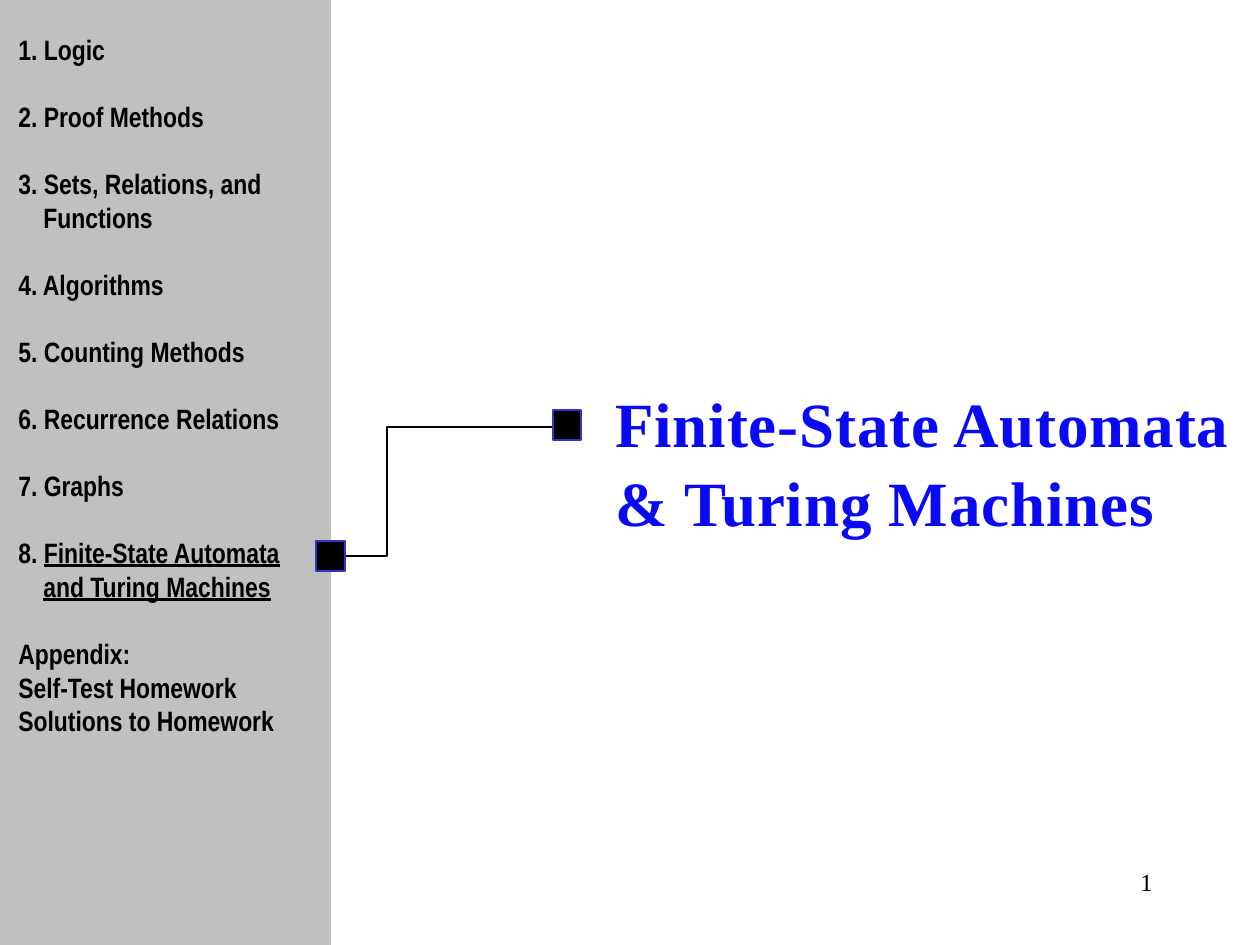
from pptx import Presentation
from pptx import util as u
from pptx.dml.color import RGBColor
from pptx.enum import shapes, text

PX = 914400 // 126
COLORS = {
    "black": "000000",
    "white": "FFFFFF",
    "sidebar": "C0C0C0",
    "title": "0909F6",
    "marker_line": "3333CC",
}
NUMBER_INDENT = 25
CONTENTS = [
    [[("1. Logic", False)]],
    [[("2. Proof Methods", False)]],
    [[("3. Sets, Relations, and", False)], [("Functions", False)]],
    [[("4. Algorithms", False)]],
    [[("5. Counting Methods", False)]],
    [[("6. Recurrence Relations", False)]],
    [[("7. Graphs", False)]],
    [[("8. ", False), ("Finite-State Automata", True)],
     [("and Turing Machines", True)]],
]
APPENDIX = ["Appendix:", "Self-Test Homework", "Solutions to Homework"]


def px(*lengths):
    return [u.Emu(length * PX) for length in lengths]


def color(name):
    return RGBColor.from_string(COLORS[name])


def add_text_box(slide, box, wrap=True):
    frame = slide.shapes.add_textbox(*px(*box)).text_frame
    frame.word_wrap = wrap
    return frame


def next_paragraph(frame, first):
    return frame.paragraphs[0] if first else frame.add_paragraph()


def add_run(paragraph, words, font, size, fill="black", bold=True, underline=False):
    run = paragraph.add_run()
    run.text = words
    run.font.name = font
    run.font.size = u.Pt(size)
    run.font.bold = bold
    run.font.color.rgb = color(fill)
    if underline:
        run.font.underline = True
    return run


def add_rectangle(slide, box, fill, line=None):
    shape = slide.shapes.add_shape(shapes.MSO_SHAPE.RECTANGLE, *px(*box))
    shape.shadow.inherit = False
    shape.fill.solid()
    shape.fill.fore_color.rgb = color(fill)
    if line:
        shape.line.color.rgb = color(line)
        shape.line.width = u.Pt(0.75)
    else:
        shape.line.fill.background()


def add_path(slide, points):
    builder = slide.shapes.build_freeform(*points[0], scale=PX)
    builder.add_line_segments(points[1:], close=False)
    shape = builder.convert_to_shape()
    shape.shadow.inherit = False
    shape.fill.background()
    shape.line.color.rgb = color("black")
    shape.line.width = u.Pt(1.5)


def add_title(slide):
    frame = add_text_box(slide, (603, 378, 646, 165), wrap=False)
    for index, line in enumerate(["Finite-State Automata", "& Turing Machines"]):
        paragraph = next_paragraph(frame, index == 0)
        if index:
            paragraph.space_before = u.Pt(2)
        run = add_run(paragraph, line, "Times New Roman", 36, "title")
        run.font._element.set("spc", "50")


def add_contents(slide):
    frame = add_text_box(slide, (6, 26, 329, 760))
    sections = CONTENTS + [[[(line, False)] for line in APPENDIX]]
    for section_index, section in enumerate(sections):
        numbered = section_index < len(CONTENTS)
        for line_index, runs in enumerate(section):
            first = section_index == line_index == 0
            paragraph = next_paragraph(frame, first)
            if line_index == 0 and not first:
                paragraph.space_before = u.Pt(19.2)
            if numbered and line_index:
                paragraph._p.get_or_add_pPr().set("marL", str(NUMBER_INDENT * PX))
            for words, underline in runs:
                add_run(paragraph, words, "Arial Narrow", 16, underline=underline)


def add_page_number(slide):
    paragraph = add_text_box(slide, (903, 861, 262, 63)).paragraphs[0]
    paragraph.alignment = text.PP_ALIGN.RIGHT
    add_run(paragraph, "1", "Times New Roman", 14, bold=False)


def main():
    presentation = Presentation()
    presentation.slide_width, presentation.slide_height = u.Inches(10), u.Inches(7.5)
    slide = presentation.slides.add_slide(presentation.slide_layouts[6])
    slide.background.fill.solid()
    slide.background.fill.fore_color.rgb = color("white")
    add_page_number(slide)
    add_title(slide)
    add_rectangle(slide, (-1, 0, 332, 945), "sidebar")
    add_path(slide, [(320, 556), (387, 556), (387, 427), (553, 427)])
    for box in [(553, 410, 28, 30), (316, 541, 29, 30)]:
        add_rectangle(slide, box, "black", "marker_line")
    add_contents(slide)
    presentation.save("out.pptx")


if __name__ == "__main__":
    main()
